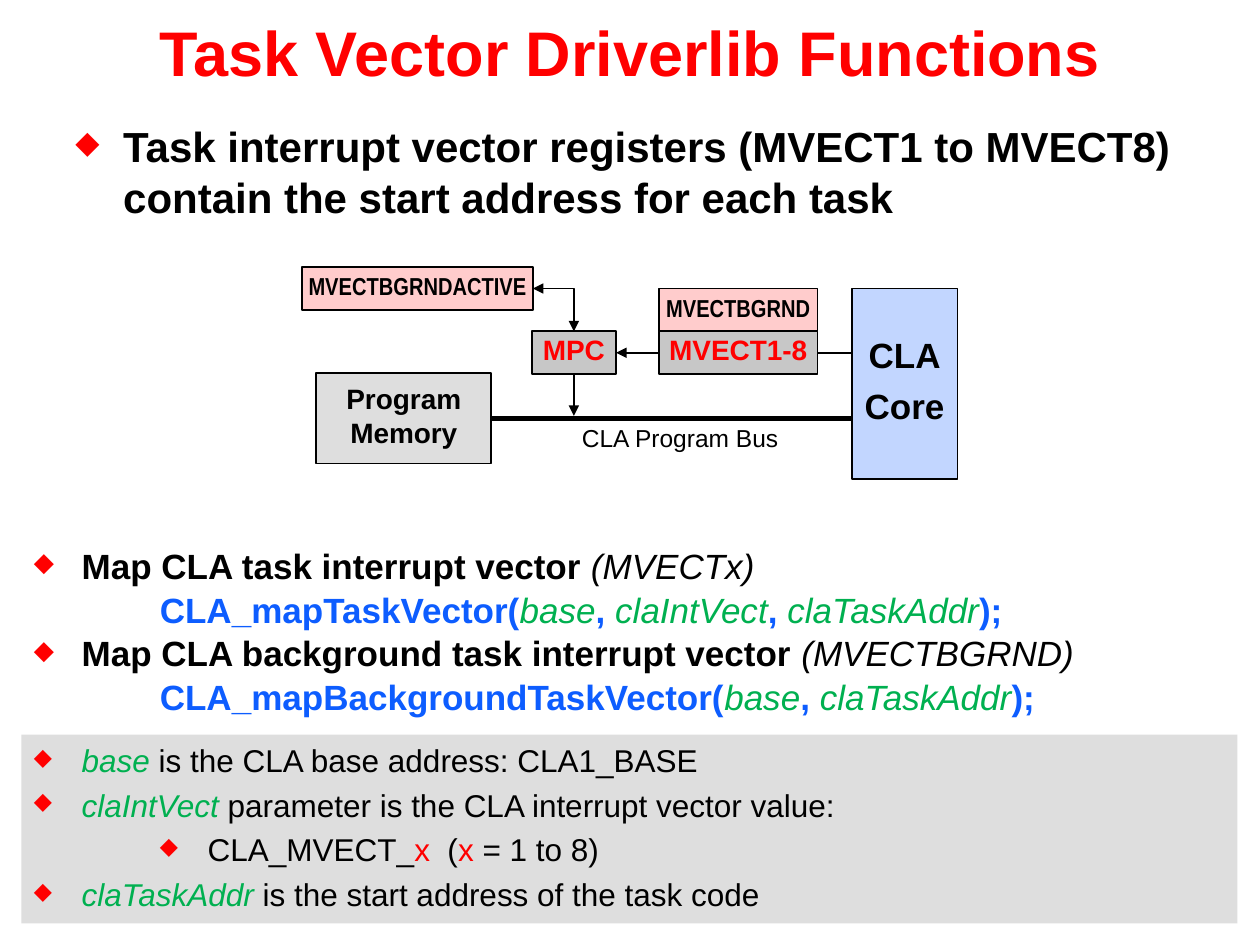
from lxml import etree
from pptx import Presentation
from pptx.dml.color import RGBColor
from pptx.enum.shapes import MSO_CONNECTOR, MSO_SHAPE
from pptx.enum.text import MSO_ANCHOR, PP_ALIGN
from pptx.oxml.ns import qn
from pptx.util import Inches, Pt

RECT = MSO_SHAPE.RECTANGLE
LINE, BENT = MSO_CONNECTOR.STRAIGHT, MSO_CONNECTOR.ELBOW
MID, TOP = MSO_ANCHOR.MIDDLE, MSO_ANCHOR.TOP
LEFT, MIDDLE = PP_ALIGN.LEFT, PP_ALIGN.CENTER
SIDE = {"top": 0, "left": 1, "low": 2, "right": 3}
BLACK, RED, GREEN, BLUE = "000000", "FF0000", "00B050", "0D5DFF"
PALE, GRAY, PINK, SKY = "DEDEDE", "C7C7C7", "FFCCCC", "C2D6FF"


def color(code):
    """Turn a hex string into a colour."""
    return RGBColor.from_string(code)


def bullet(para, left):
    """Give a paragraph a hanging red diamond."""
    props = para._p.get_or_add_pPr()
    props.set("marL", str(Inches(left)))
    props.set("indent", str(-Inches(0.38)))
    tint = etree.SubElement(props, qn("a:buClr"))
    etree.SubElement(tint, qn("a:srgbClr"), val=RED)
    etree.SubElement(props, qn("a:buSzPct"), val="75000")
    etree.SubElement(props, qn("a:buChar"), char="◆")


def style(font, size, code=BLACK, bold=False, name="Arial"):
    """Set the font of a paragraph."""
    font.size, font.bold, font.name = Pt(size), bold, name
    font.color.rgb = color(code)


def fill_para(para, runs, size):
    """Write runs of text, colour, bold and italic into a paragraph."""
    style(para.font, size)
    for text, code, bold, slant in runs:
        run = para.add_run()
        run.text = text
        run.font.color.rgb = color(code)
        run.font.bold, run.font.italic = bold, slant


def add_paras(frame, count):
    """Return the given number of paragraphs of an empty frame."""
    return [frame.paragraphs[0]] + [frame.add_paragraph() for _ in range(count - 1)]


def add_text(slide, box, anchor=TOP, wrap=True):
    """Add a text box and return its frame."""
    frame = slide.shapes.add_textbox(*map(Inches, box)).text_frame
    frame.word_wrap, frame.vertical_anchor = wrap, anchor
    return frame


def add_rect(slide, box, fill, edge=None):
    """Add a flat rectangle."""
    rect = slide.shapes.add_shape(RECT, *map(Inches, box))
    rect.shadow.inherit = False
    rect.fill.solid()
    rect.fill.fore_color.rgb = color(fill)
    if edge:
        rect.line.color.rgb = color(edge)
        rect.line.width = Pt(1)
    else:
        rect.line.fill.background()
    return rect


def add_block(slide, box, fill, lines, size, code=BLACK, name="Arial", gap=0):
    """Add a labelled block of the diagram."""
    rect = add_rect(slide, box, fill, BLACK)
    frame = rect.text_frame
    frame.word_wrap, frame.vertical_anchor = False, MID
    for i, (para, line) in enumerate(zip(add_paras(frame, len(lines)), lines)):
        para.text = line
        para.alignment, para.line_spacing = MIDDLE, 0.8
        para.space_before = Pt(gap if i else 0)
        style(para.font, size, code, True, name)
    return rect


def add_wire(slide, start, side, end, goal=None, width=1, kind=LINE, tips=()):
    """Add a line from the side of a block to a point or another block."""
    spot = Inches(end[0]), Inches(end[1])
    wire = slide.shapes.add_connector(kind, 0, 0, *spot)
    wire.begin_connect(start, SIDE[side])
    if goal:
        wire.end_connect(goal[0], SIDE[goal[1]])
    wire.line.color.rgb = color(BLACK)
    wire.line.width = Pt(width)
    props = wire._element.spPr
    for tip in tips:
        etree.SubElement(props.find(qn("a:ln")), qn("a:" + tip), type="triangle")
    etree.SubElement(props, qn("a:effectLst"))
    return wire


def add_title(slide, box):
    """Add the title."""
    para = add_text(slide, box, MID).paragraphs[0]
    para.text, para.alignment = "Task Vector Driverlib Functions", MIDDLE
    style(para.font, 36, RED, True)


def add_intro(slide, box):
    """Add the opening point."""
    para = add_text(slide, box).paragraphs[0]
    bullet(para, 0.38)
    para.text = ("Task interrupt vector registers (MVECT1 to MVECT8) "
                 "contain the start address for each task")
    style(para.font, 24, BLACK, True)


def add_diagram(slide, box):
    """Add the blocks and wires of the vector path."""
    x, y, wide, tall = box
    high, core_x = 0.34, x + wide - 0.84
    row = y + 0.51
    bus_y = y + 1.2
    label = add_text(slide, (x + 2.12, y + 1.23, 1.77, 0.29), wrap=False).paragraphs[0]
    label.text, label.line_spacing, label.alignment = "CLA Program Bus", 0.8, LEFT
    style(label.font, 14)

    store = add_block(slide, (x + 0.11, y + 0.84, 1.39, 0.72), PALE,
                      ["Program", "Memory"], 16, gap=4)
    add_wire(slide, store, "right", (core_x, bus_y), width=3)
    mpc = add_block(slide, (x + 1.82, row, 0.67, high), GRAY, ["MPC"], 16, RED)
    vect = add_block(slide, (x + 2.83, row, 1.26, high), GRAY, ["MVECT1-8"], 16, RED)
    add_block(slide, (x + 2.83, row - high, 1.26, high), PINK,
              ["MVECTBGRND"], 14, name="Arial Narrow")
    live = add_block(slide, (x, y, 1.83, high), PINK,
                     ["MVECTBGRNDACTIVE"], 14, name="Arial Narrow")
    mid = row + high / 2
    add_wire(slide, vect, "left", (x + 2.49, mid), (mpc, "right"), tips=["tailEnd"])
    add_wire(slide, vect, "right", (core_x, mid))
    add_wire(slide, mpc, "low", (x + 2.155, bus_y - 0.02), tips=["tailEnd"])
    bend = add_wire(slide, live, "right", (x + 2.155, row), (mpc, "top"),
                    kind=BENT, tips=["headEnd", "tailEnd"])
    bend._element.spPr.find(qn("a:prstGeom")).set("prst", "bentConnector2")
    add_block(slide, (core_x, y + 0.17, 0.84, tall - 0.17), SKY,
              ["CLA", "Core"], 20, gap=10)


def add_calls(slide, box):
    """Add the two mapping calls."""
    calls = [
        ("Map CLA task interrupt vector ", "(MVECTx)",
         "CLA_mapTaskVector(", ["base", "claIntVect", "claTaskAddr"]),
        ("Map CLA background task interrupt vector ", "(MVECTBGRND)",
         "CLA_mapBackgroundTaskVector(", ["base", "claTaskAddr"]),
    ]
    paras = add_paras(add_text(slide, box), 2 * len(calls))
    for i, (head, note, name, args) in enumerate(calls):
        top, code = paras[2 * i:2 * i + 2]
        top.space_after = code.space_after = Pt(1)
        bullet(top, 0.38)
        fill_para(top, [(head, BLACK, True, False), (note, BLACK, False, True)], 20)
        code._p.get_or_add_pPr().set("marL", str(Inches(1)))
        runs = [(name, BLUE, True, False)]
        for arg in args:
            mark = ");" if arg == args[-1] else ", "
            runs += [(arg, GREEN, False, True), (mark, BLUE, True, False)]
        fill_para(code, runs, 20)


def add_notes(slide, box):
    """Add the panel that explains the arguments."""
    rows = [
        (0.38, [("base", GREEN), (" is the CLA base address: CLA1_BASE", BLACK)]),
        (0.38, [("claIntVect ", GREEN),
                ("parameter is the CLA interrupt vector value:", BLACK)]),
        (1.38, [("CLA_MVECT_", BLACK), ("x", RED), ("  (", BLACK),
                ("x", RED), (" = 1 to 8)", BLACK)]),
        (0.38, [("claTaskAddr", GREEN),
                (" is the start address of the task code", BLACK)]),
    ]
    frame = add_rect(slide, box, PALE).text_frame
    frame.word_wrap, frame.vertical_anchor = True, TOP
    for i, (para, (left, parts)) in enumerate(zip(add_paras(frame, len(rows)), rows)):
        para.alignment, para.space_before = LEFT, Pt(4 if i else 0)
        bullet(para, left)
        fill_para(para, [(text, code, False, code == GREEN) for text, code in parts], 18)


def main():
    """Build the slide and save it."""
    deck = Presentation()
    deck.slide_width, deck.slide_height = Inches(10), Inches(7.5)
    slide = deck.slides.add_slide(deck.slide_layouts[6])
    add_title(slide, (0, 0, 10, 0.81))
    add_intro(slide, (0.5, 0.91, 9, 0.9))
    add_diagram(slide, (2.4, 2.12, 5.2, 1.68))
    add_calls(slide, (0.17, 4.27, 9.66, 1.51))
    add_notes(slide, (0.17, 5.83, 9.65, 1.5))
    deck.save("out.pptx")


if __name__ == "__main__":
    main()
